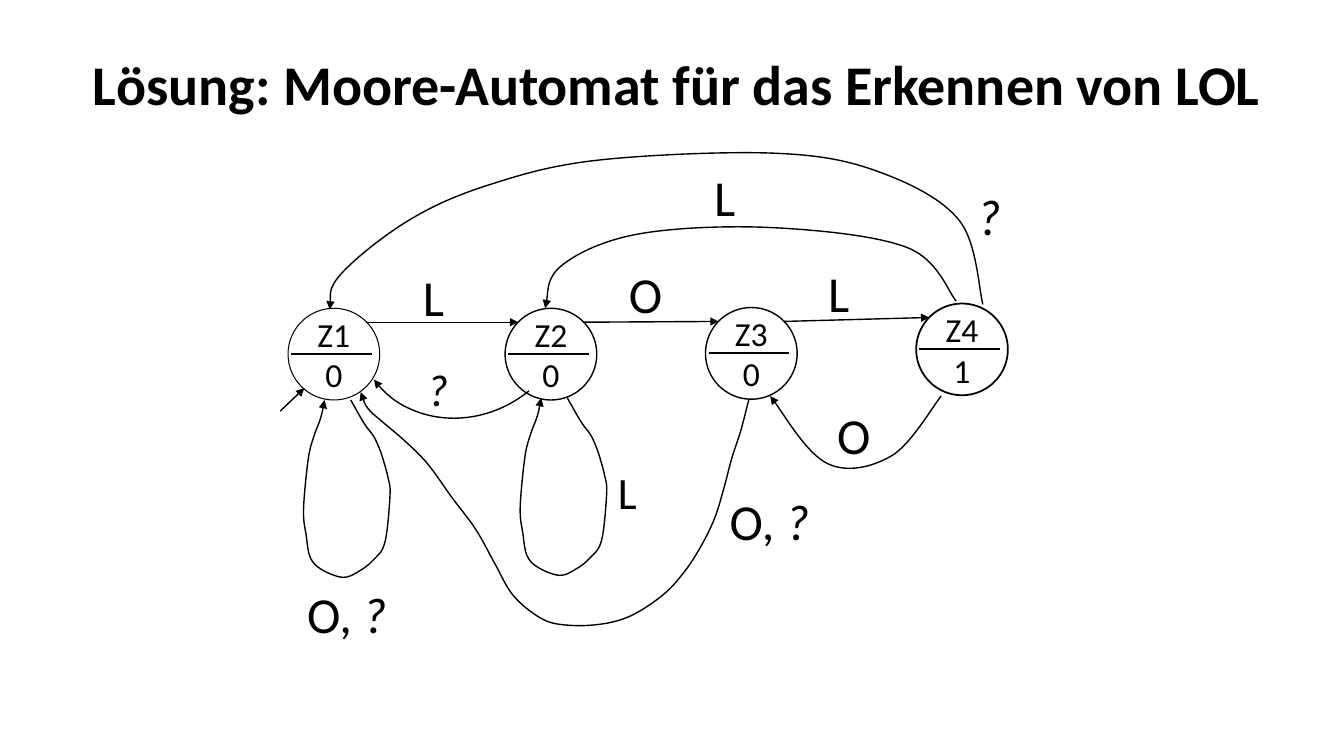
from dataclasses import dataclass
from itertools import pairwise

from lxml import etree
from pptx import Presentation
from pptx import util as u
from pptx.dml import color
from pptx.enum import shapes, text
from pptx.oxml import ns


@dataclass(frozen=True)
class Theme:
    font: str = "Calibri"
    ink: color.RGBColor = color.RGBColor(0, 0, 0)
    title: int = 40
    label: int = 36
    small_label: int = 32
    state: int = 24
    edge: float = 1
    divider: float = 1.5


THEME = Theme()
TITLE = "Lösung: Moore-Automat für das Erkennen von LOL"
STATES = [
    ("Z1", "0", 7.26, 7.77, 0.75),
    ("Z2", "0", 12.73, 7.77, 1),
    ("Z3", "0", 17.78, 7.75, 1),
    ("Z4", "1", 23.09, 7.65, 1.25),
]
DIAMETER = 2.31
LABELS = [
    ("O, ", "?", 7.49, 14.58, THEME.label),
    ("L", "", 15.32, 11.58, THEME.small_label),
    ("O, ", "?", 18.14, 12.22, THEME.label),
    ("L", "", 10.41, 6.58, THEME.label),
    ("O", "", 15.6, 6.5, THEME.label),
    ("L", "", 20.62, 6.48, THEME.label),
    ("", "?", 10.52, 8.99, THEME.small_label),
    ("O", "", 20.85, 10.06, THEME.label),
    ("L", "", 17.75, 4.06, THEME.label),
    ("", "?", 24.38, 4.55, THEME.label),
]
LABEL_SIZE = (2.74, 1.8)
START_ARROW = (7.06, 10.36, 7.67, 9.78)
Z2_TO_Z1_ARC = (8.86, 5.31, 5.66, 5.13)
LOOP = [
    (8.84, 10.08), (9.19, 10.69), (9.42, 11), (9.58, 11.35), (9.68, 11.66),
    (9.78, 12.04), (9.83, 12.47), (9.7, 13.67), (9.4, 14.12), (9.04, 14.4),
    (8.64, 14.55), (8.1, 14.35), (7.82, 14.05), (7.72, 13.51), (7.65, 12.85),
    (7.77, 11.56), (7.92, 10.97), (8.08, 10.54), (8.18, 10.08),
]
LOOP_SHIFT = (5.46, -0.05)
Z3_TO_Z1 = [
    (18.87, 10.08), (18.67, 10.85), (18.44, 11.56), (18.24, 12.32),
    (18.01, 13.06), (17.68, 13.74), (17.27, 14.38), (16.71, 14.99),
    (15.85, 15.54), (14.96, 15.75), (14.02, 15.72), (13.46, 15.47),
    (12.9, 14.96), (12.47, 14.2), (11.99, 13.34), (11.4, 12.55),
    (10.77, 11.68), (10.19, 11.1), (9.65, 10.64), (9.27, 10.29), (9.09, 9.88),
]
Z4_TO_Z3 = [(23.72, 9.98), (22.48, 11.48), (20.85, 11.68), (19.41, 9.98)]
Z4_TO_Z2 = [
    (24.1, 7.59), (22.89, 6.25), (19.53, 5.74),
    (16.13, 5.89), (14.17, 6.68), (13.74, 7.77),
]
Z4_TO_Z1 = [
    (24.77, 7.67), (24.18, 5.56), (22.12, 4.32), (19.48, 3.86), (15.04, 4.04),
    (12.29, 4.67), (10.29, 5.56), (8.59, 6.91), (8.31, 7.8),
]


def cm(*values):
    return [u.Cm(value) for value in values]


def add_span(para, words, size, bold=False, italic=False):
    span = para.add_run()
    span.text = words
    span.font.name = THEME.font
    span.font.size = u.Pt(size)
    span.font.bold = bold
    span.font.italic = italic
    span.font.color.rgb = THEME.ink


def style_line(line, width, arrow=False):
    line.color.rgb = THEME.ink
    line.width = u.Pt(width)
    if arrow:
        etree.SubElement(line._get_or_add_ln(), ns.qn("a:tailEnd"), type="triangle")


def style_outline(shape, width, arrow=False):
    shape.shadow.inherit = False
    shape.fill.background()
    style_line(shape.line, width, arrow)


def add_line(slide, ends, width, arrow=False):
    line = slide.shapes.add_connector(shapes.MSO_CONNECTOR.STRAIGHT, *cm(*ends))
    style_line(line.line, width, arrow)
    etree.SubElement(line._element.spPr, ns.qn("a:effectLst"))


def bezier_points(knots):
    padded = [knots[0], *knots, knots[-1]]
    for before, start, end, after in zip(padded, padded[1:], padded[2:], padded[3:]):
        yield tuple(s + (e - b) / 6 for b, s, e in zip(before, start, end))
        yield tuple(e - (a - s) / 6 for s, e, a in zip(start, end, after))
        yield end


def add_curve(slide, knots):
    builder = slide.shapes.build_freeform(*cm(*knots[0]))
    builder.add_line_segments([cm(*point) for point in bezier_points(knots)], close=False)
    curve = builder.convert_to_shape()
    segments = list(curve._element.iter(ns.qn("a:lnTo")))
    for first in range(0, len(segments), 3):
        bezier = etree.Element(ns.qn("a:cubicBezTo"))
        segments[first].addprevious(bezier)
        for segment in segments[first:first + 3]:
            bezier.append(segment[0])
            segment.getparent().remove(segment)
    style_outline(curve, THEME.edge, arrow=True)


def add_state(slide, name, output, left, top, width):
    circle = slide.shapes.add_shape(
        shapes.MSO_SHAPE.OVAL, *cm(left, top, DIAMETER, DIAMETER))
    style_outline(circle, width)
    frame = circle.text_frame
    frame.word_wrap = False
    frame.vertical_anchor = text.MSO_ANCHOR.MIDDLE
    frame.margin_left = frame.margin_right = frame.margin_top = frame.margin_bottom = 0
    for para, words in ((frame.paragraphs[0], name), (frame.add_paragraph(), output)):
        para.alignment = text.PP_ALIGN.CENTER
        add_span(para, words, THEME.state)
    middle = top + DIAMETER / 2
    add_line(slide, (left + 0.08, middle, left + 2.11, middle), THEME.divider)


def add_label(slide, upright, slanted, left, top, size):
    box = slide.shapes.add_textbox(*cm(left, top, *LABEL_SIZE))
    box.text_frame.word_wrap = True
    para = box.text_frame.paragraphs[0]
    for words, italic in ((upright, False), (slanted, True)):
        if words:
            add_span(para, words, size, italic=italic)


deck = Presentation()
deck.slide_width, deck.slide_height = cm(33.87, 19.05)
page = deck.slides.add_slide(deck.slide_layouts[5])

heading = page.shapes.title
heading.left, heading.top, heading.width, heading.height = cm(0.25, 0.36, 33.6, 3.68)
heading.text_frame.auto_size = text.MSO_AUTO_SIZE.NONE
heading.text_frame.vertical_anchor = text.MSO_ANCHOR.MIDDLE
heading_para = heading.text_frame.paragraphs[0]
heading_para.alignment = text.PP_ALIGN.CENTER
heading_para.line_spacing = 0.9
add_span(heading_para, TITLE, THEME.title, bold=True)

shifted_loop = [(x + LOOP_SHIFT[0], y + LOOP_SHIFT[1]) for x, y in LOOP]
for knots in (LOOP, shifted_loop, Z3_TO_Z1, Z4_TO_Z3, Z4_TO_Z2, Z4_TO_Z1):
    add_curve(page, knots)

arc = page.shapes.add_shape(shapes.MSO_SHAPE.ARC, *cm(*Z2_TO_Z1_ARC))
arc.rotation = 143.3
arc.adjustments[0] = 160.17
arc.adjustments[1] = 0
style_outline(arc, THEME.edge, arrow=True)

for state in STATES:
    add_state(page, *state)
for (_, _, left, top, _), (_, _, next_left, next_top, _) in pairwise(STATES):
    add_line(page, (left + 1.96, top + 0.35, next_left + 0.33, next_top + 0.35),
             THEME.edge, arrow=True)
add_line(page, START_ARROW, THEME.edge, arrow=True)

for label in LABELS:
    add_label(page, *label)

deck.save("out.pptx")
